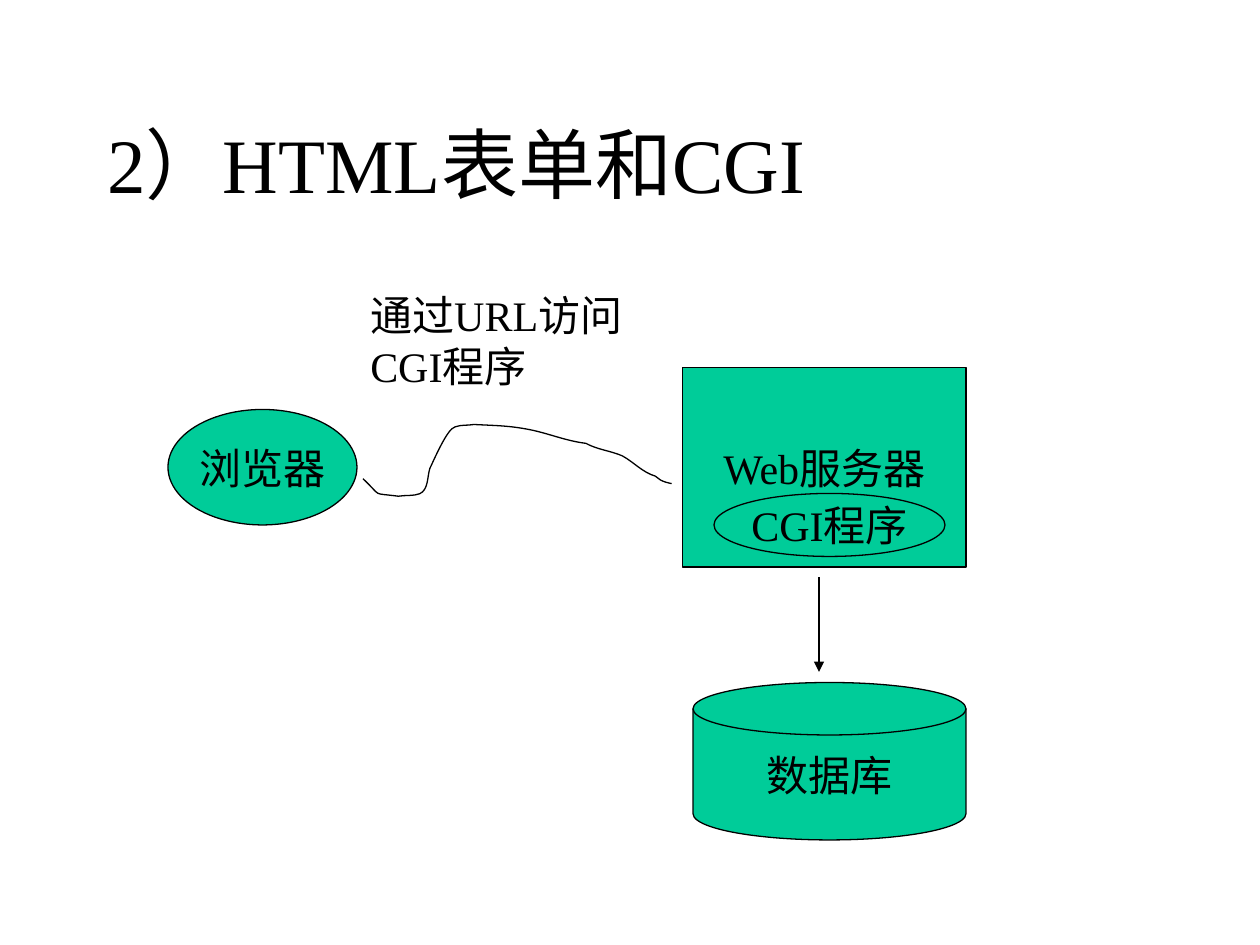
from dataclasses import dataclass

from lxml.etree import SubElement
from pptx import Presentation
from pptx.dml.color import RGBColor
from pptx.enum.shapes import MSO_CONNECTOR as Connector, MSO_SHAPE as Shape
from pptx.enum.text import MSO_ANCHOR as Anchor, MSO_AUTO_SIZE as AutoSize, PP_ALIGN as Align
from pptx.oxml.ns import qn
from pptx.util import Pt


@dataclass(frozen=True)
class Theme:
    ink: RGBColor = RGBColor(0, 0, 0)
    green: RGBColor = RGBColor(0x00, 0xCC, 0x99)
    font: str = "Times New Roman"
    title: int = 44
    body: int = 24
    line: float = 0.75


T = Theme()

LINK_START = (0, 31)
LINK_CURVES = [
    [(11.5, 41.8), (4.3, 38.9), (20.2, 41)],
    [(24.5, 40.3), (28.8, 41), (32.4, 39.6)],
    [(37.4, 37.4), (36.7, 30.2), (38.2, 25.2)],
    [(40.3, 20.9), (48.2, 2.2), (52.6, 1.4)],
    [(56.2, 0), (59.8, 0.7), (63.4, 0)],
    [(77, 0.7), (83.5, 0.7), (95, 2.9)],
    [(105.8, 5), (115.9, 9.4), (127.4, 10.8)],
    [(133.9, 14.4), (141.8, 15.1), (148.3, 18)],
    [(154.8, 21.6), (159.8, 27.4), (167, 29.5)],
    [(168.5, 30.2), (169.2, 31.7), (171.4, 32.4)],
    [(172.8, 33.1), (176.4, 33.8), (176.4, 33.8)],
]


def put_text(tf, *lines, size=T.body, align=Align.LEFT, anchor=Anchor.MIDDLE,
             wrap=False, auto_size=AutoSize.NONE):
    tf.auto_size = auto_size
    tf.word_wrap = wrap
    tf.vertical_anchor = anchor
    for i, text in enumerate(lines):
        p = tf.add_paragraph() if i else tf.paragraphs[0]
        p.alignment = align
        r = p.add_run()
        r.text = text
        r.font.name = T.font
        r.font.size = Pt(size)
        r.font.color.rgb = T.ink


def style_line(line):
    line.color.rgb = T.ink
    line.width = Pt(T.line)


def add_node(s, kind, text, x, y, w, h):
    sp = s.shapes.add_shape(kind, Pt(x), Pt(y), Pt(w), Pt(h))
    sp.shadow.inherit = False
    sp.fill.solid()
    sp.fill.fore_color.rgb = T.green
    style_line(sp.line)
    put_text(sp.text_frame, text, align=Align.CENTER)


def add_link(s, x, y):
    start_x, start_y = LINK_START
    builder = s.shapes.build_freeform(Pt(start_x), Pt(start_y))
    builder.add_line_segments([(Pt(cx), Pt(cy)) for *_, (cx, cy) in LINK_CURVES], close=False)
    sp = builder.convert_to_shape(Pt(x), Pt(y))
    for segment, curve in zip(list(sp.element.iter(qn("a:lnTo"))), LINK_CURVES):
        segment.tag = qn("a:cubicBezTo")
        segment.clear()
        for cx, cy in curve:
            SubElement(segment, qn("a:pt"), x=str(Pt(cx)), y=str(Pt(cy)))
    sp.shadow.inherit = False
    sp.fill.background()
    style_line(sp.line)


def add_arrow(s, x1, y1, x2, y2):
    c = s.shapes.add_connector(Connector.STRAIGHT, Pt(x1), Pt(y1), Pt(x2), Pt(y2))
    style_line(c.line)
    SubElement(c.line._get_or_add_ln(), qn("a:tailEnd"), type="triangle")
    SubElement(c.element.spPr, qn("a:effectLst"))


def title_region(s, x, y, w, h):
    sp = s.shapes.title
    sp.left, sp.top, sp.width, sp.height = Pt(x), Pt(y), Pt(w), Pt(h)
    put_text(sp.text_frame, "2）HTML表单和CGI", size=T.title, wrap=True)


def browser_region(s, x, y):
    add_node(s, Shape.OVAL, "浏览器", x, y + 72, 108, 66)
    add_link(s, x + 111.4, y + 80.6)
    sp = s.shapes.add_textbox(Pt(x + 108.5), Pt(y), Pt(170), Pt(65))
    put_text(sp.text_frame, "通过URL访问", "CGI程序",
             anchor=Anchor.TOP, auto_size=AutoSize.SHAPE_TO_FIT_TEXT)


def server_region(s, x, y):
    add_node(s, Shape.RECTANGLE, "Web服务器", x, y, 162, 114)
    add_node(s, Shape.OVAL, "CGI程序", x + 18, y + 72, 132, 36)
    add_arrow(s, x + 78, y + 120, x + 78, y + 174)
    add_node(s, Shape.FLOWCHART_MAGNETIC_DISK, "数据库", x + 6, y + 180, 156, 90)


def main():
    prs = Presentation()
    prs.slide_width, prs.slide_height = Pt(720), Pt(540)
    s = prs.slides.add_slide(prs.slide_layouts[5])
    title_region(s, 54, 48, 612, 90)
    browser_region(s, 96, 162)
    server_region(s, 390, 210)
    prs.save("out.pptx")


if __name__ == "__main__":
    main()
